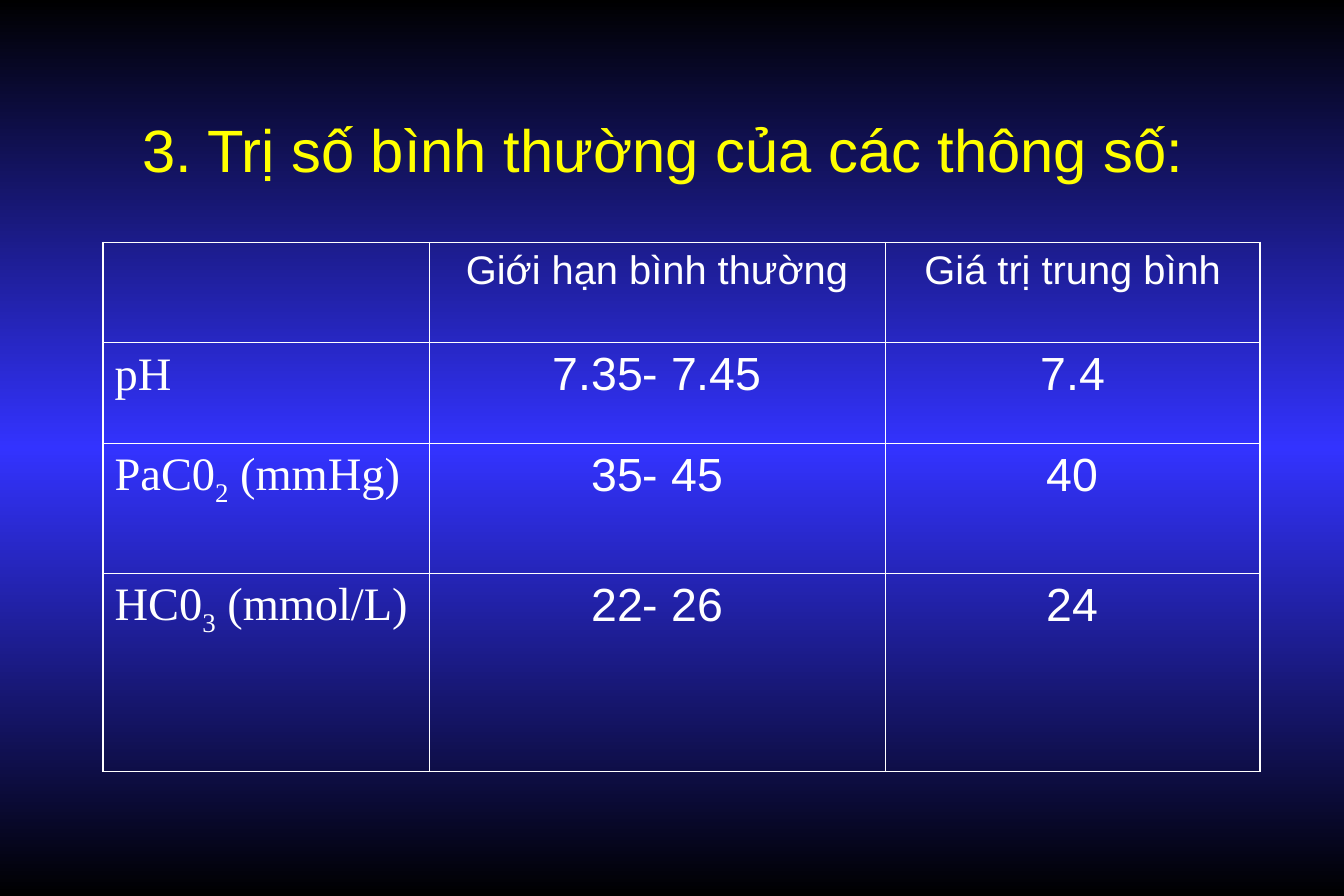
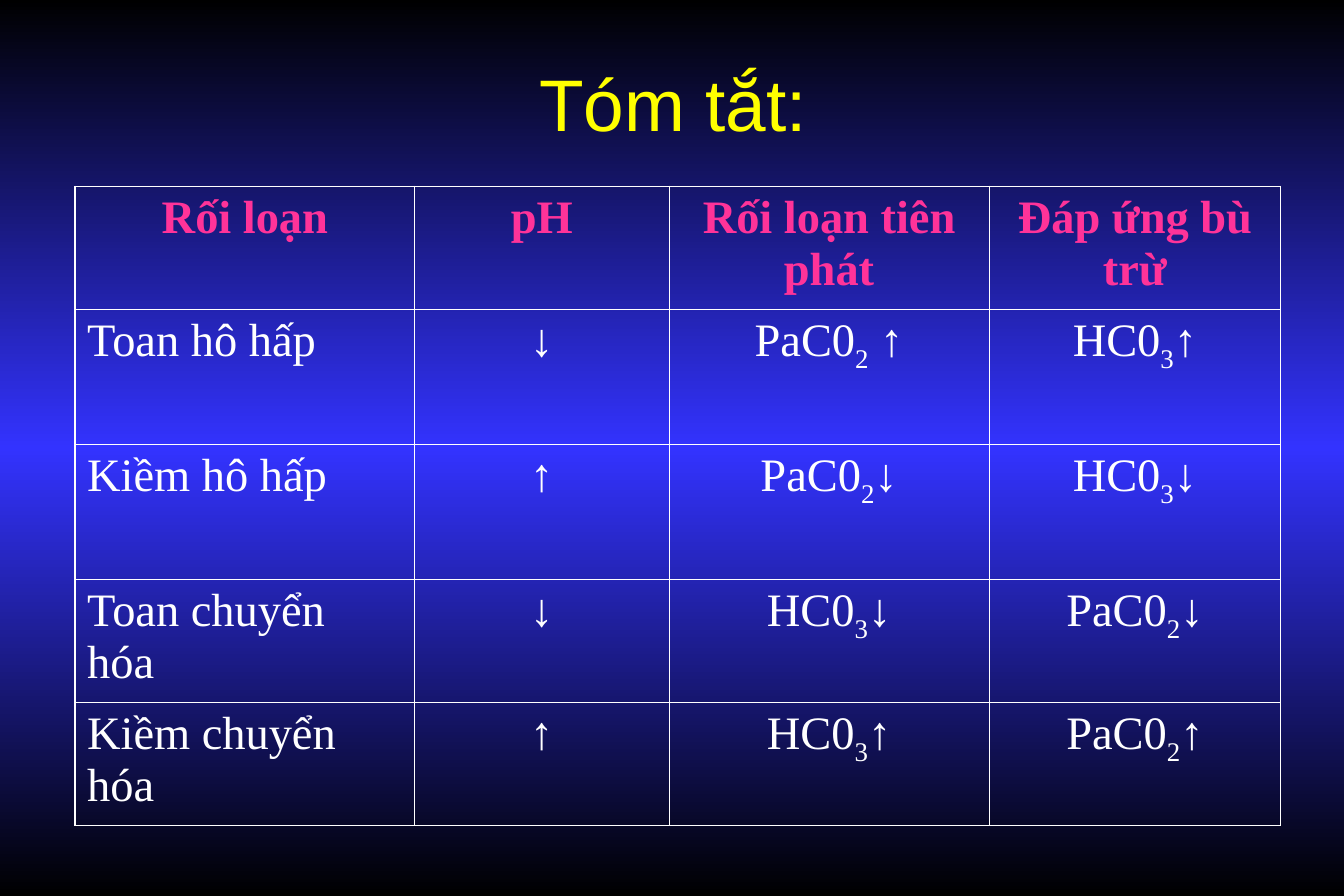
from copy import deepcopy
from dataclasses import dataclass

from pptx import Presentation
from pptx.dml.color import RGBColor
from pptx.enum import text
from pptx.oxml.ns import qn
from pptx.util import Inches, Pt
from lxml import etree


@dataclass(frozen=True)
class Theme:
    edge: str = "000000"
    glow: str = "3333FF"
    title: str = "FFFF00"
    body: str = "FFFFFF"
    accent: str = "FF3399"
    sans: str = "Arial"
    serif: str = "Times New Roman"
    header_size: int = 24
    body_size: int = 28
    outer_line: float = 1.08
    inner_line: float = 0.45
    plain_table: str = "{2D5ABB26-0587-4C30-8999-92F81FD0307C}"


THEME = Theme()
CENTER, LEFT = text.PP_ALIGN.CENTER, text.PP_ALIGN.LEFT


def paint_background(master):
    """Give every slide the vertical gradient that glows in the middle."""
    fill = master.background.fill
    fill.gradient()
    fill.gradient_angle = 270
    stop_list = master.element.find(".//" + qn("a:gsLst"))
    stop_list.append(deepcopy(stop_list[0]))
    colors = (THEME.edge, THEME.glow, THEME.edge)
    for stop, position, color in zip(fill.gradient_stops, (0, 0.5, 1), colors):
        stop.position = position
        stop.color.rgb = RGBColor.from_string(color)


def write_text(frame, content, *, size, font, color, bold=False, align=CENTER):
    """Fill a text frame; a part between two tildes is set as subscript."""
    paragraph = frame.paragraphs[0]
    paragraph.alignment = align
    for index, part in enumerate(content.split("~")):
        if not part:
            continue
        run = paragraph.add_run()
        run.text = part
        run.font.size = Pt(size)
        run.font.name = font
        run.font.bold = bold
        run.font.color.rgb = RGBColor.from_string(color)
        if index % 2:
            run.font._element.set("baseline", "-25000")


def add_titled_slide(presentation, title, left, top, size):
    slide = presentation.slides.add_slide(presentation.slide_layouts[5])
    shape = slide.shapes.title
    shape.left, shape.top = Inches(left), Inches(top)
    shape.width, shape.height = Inches(9.56), Inches(1.25)
    frame = shape.text_frame
    frame.word_wrap = True
    frame.auto_size = text.MSO_AUTO_SIZE.NONE
    frame.vertical_anchor = text.MSO_ANCHOR.MIDDLE
    write_text(frame, title, size=size, font=THEME.sans, color=THEME.title)
    return slide


def set_borders(cell, outer_sides):
    """Draw the four borders, thicker on the sides that face outwards."""
    properties = cell._tc.get_or_add_tcPr()
    for side in "LRTB":
        width = THEME.outer_line if side in outer_sides else THEME.inner_line
        line = etree.SubElement(properties, qn("a:ln" + side), w=str(Pt(width)))
        fill = etree.SubElement(line, qn("a:solidFill"))
        etree.SubElement(fill, qn("a:srgbClr"), val=THEME.body)


def add_grid(slide, left, top, widths, heights, rows, cell_format):
    """Add a table; cell_format(row, column) gives the text format of a cell."""
    frame = slide.shapes.add_table(
        len(rows), len(widths), Inches(left), Inches(top),
        Inches(sum(widths)), Inches(sum(heights)))
    table = frame.table
    table.first_row = table.horz_banding = False
    table._tbl.tblPr.find(qn("a:tableStyleId")).text = THEME.plain_table
    for column, width in zip(table.columns, widths):
        column.width = Inches(width)
    for row, height in zip(table.rows, heights):
        row.height = Inches(height)
    last_row, last_column = len(rows) - 1, len(widths) - 1
    for r, contents in enumerate(rows):
        for c, content in enumerate(contents):
            cell = table.cell(r, c)
            outer = {"T": r == 0, "B": r == last_row,
                     "L": c == 0, "R": c == last_column}
            set_borders(cell, [side for side in outer if outer[side]])
            cell.fill.background()
            write_text(cell.text_frame, content, **cell_format(r, c))


def normal_value_format(row, column):
    return {
        "size": THEME.body_size if row else THEME.header_size,
        "font": THEME.sans if column else THEME.serif,
        "color": THEME.body,
        "align": CENTER if column else LEFT,
    }


def summary_format(row, column):
    return {
        "size": THEME.body_size,
        "font": THEME.serif,
        "color": THEME.body if row else THEME.accent,
        "bold": row == 0,
        "align": LEFT if row and not column else CENTER,
    }


def add_normal_values(presentation):
    slide = add_titled_slide(
        presentation, "3. Trị số bình thường của các thông số: ", 0.84, 0.62, 36)
    rows = [
        ("", "Giới hạn bình thường", "Giá trị trung bình"),
        ("pH", "7.35- 7.45", "7.4"),
        ("PaC0~2~ (mmHg)", "35- 45", "40"),
        ("HC0~3~ (mmol/L)", "22- 26", "24"),
    ]
    add_grid(slide, 0.86, 2.03, (2.73, 3.82, 3.14), (0.84, 0.84, 1.09, 1.66),
             rows, normal_value_format)


def add_summary(presentation):
    slide = add_titled_slide(presentation, "Tóm tắt: ", 0.94, 0.23, 44)
    rows = [
        ("Rối loạn", "pH", "Rối loạn tiên phát", "Đáp ứng bù trừ"),
        ("Toan hô hấp", "↓", "PaC0~2~ ↑", "HC0~3~↑"),
        ("Kiềm hô hấp", "↑", "PaC0~2~↓", "HC0~3~↓"),
        ("Toan chuyển hóa", "↓", "HC0~3~↓", "PaC0~2~↓"),
        ("Kiềm chuyển hóa", "↑", "HC0~3~↑", "PaC0~2~↑"),
    ]
    add_grid(slide, 0.63, 1.56, (2.84, 2.13, 2.68, 2.44),
             (1.03, 1.13, 1.13, 1.03, 1.03), rows, summary_format)


def main():
    presentation = Presentation()
    presentation.slide_width = Inches(11.25)
    presentation.slide_height = Inches(7.5)
    paint_background(presentation.slide_master)
    add_normal_values(presentation)
    add_summary(presentation)
    presentation.save("out.pptx")


if __name__ == "__main__":
    main()
